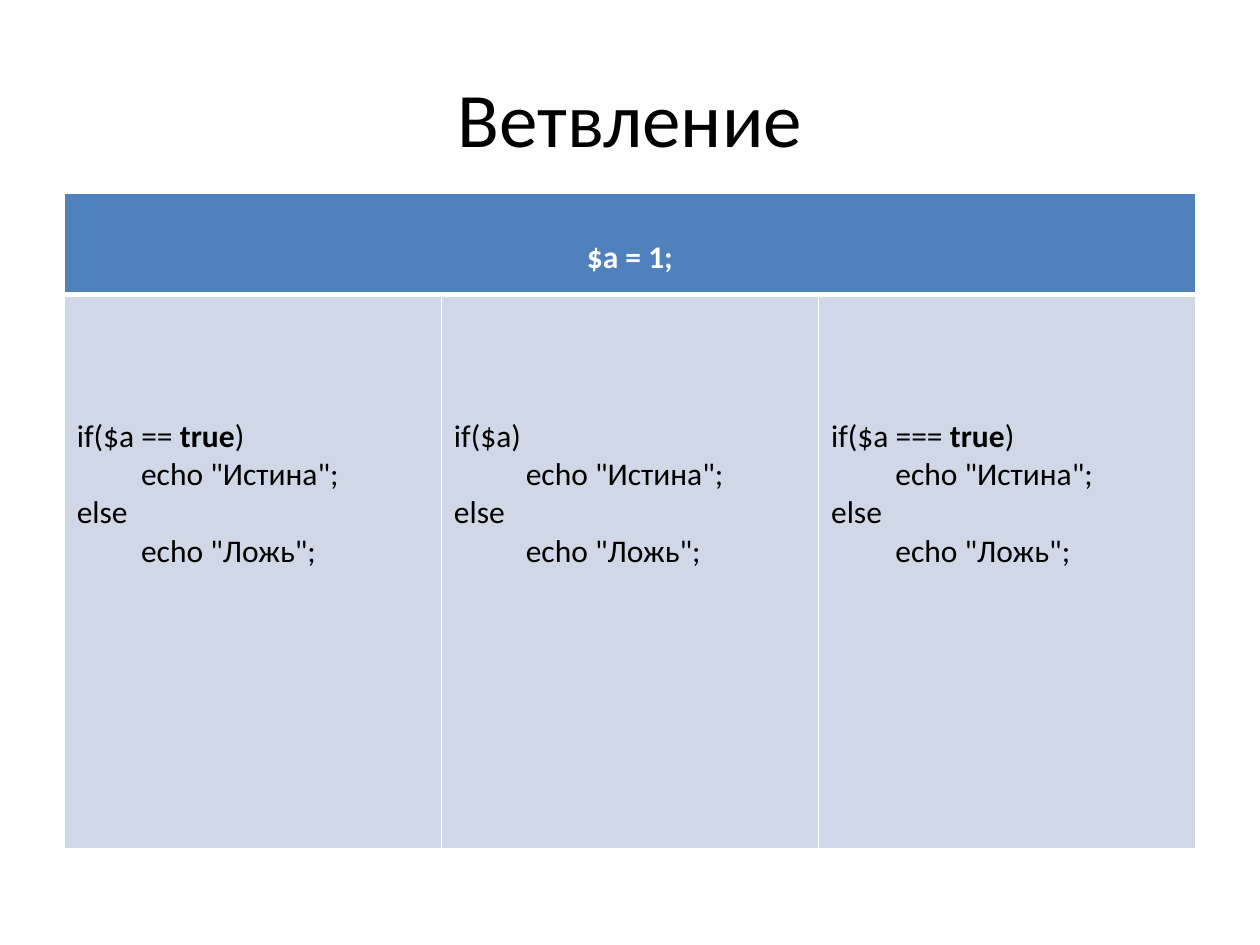
from lxml.etree import SubElement
from pptx import Presentation
from pptx.dml.color import RGBColor
from pptx.enum.text import MSO_ANCHOR, PP_ALIGN
from pptx.oxml.ns import qn
from pptx.util import Inches, Pt

COLORS = {"text": "000000", "light": "FFFFFF", "header": "4F81BD", "body": "D0D8E8"}
FONT = "Calibri"
HEADER = "$a = 1;"
# Condition runs (text, bold) and the indent of the echo lines in inches
BRANCHES = [
    ([("if($a == ", False), ("true", True), (")", False)], 0.51),
    ([("if($a)", False)], 0.57),
    ([("if($a === ", False), ("true", True), (")", False)], 0.51),
]


def add_run(p, text, size, color, bold=False):
    """Add one formatted run to a paragraph."""
    r = p.add_run()
    r.text = text
    r.font.name = FONT
    r.font.size = Pt(size)
    r.font.bold = bold
    r.font.color.rgb = RGBColor.from_string(COLORS[color])


def style_cell(cell, fill, top, bottom_line=1, top_line=1):
    """Set the borders, fill and top margin of a cell."""
    tcPr = cell._tc.get_or_add_tcPr()
    for side, width in (("L", 1), ("R", 1), ("T", top_line), ("B", bottom_line)):
        ln = SubElement(tcPr, qn(f"a:ln{side}"), w=str(Pt(width)))
        solid = SubElement(ln, qn("a:solidFill"))
        SubElement(solid, qn("a:srgbClr"), val=COLORS["light"])
    cell.fill.solid()
    cell.fill.fore_color.rgb = RGBColor.from_string(COLORS[fill])
    cell.margin_top = Inches(top)


def add_title(s, text, x, y, w, h):
    """Place and fill the title placeholder."""
    title = s.shapes.title
    title.left, title.top, title.width, title.height = map(Inches, (x, y, w, h))
    tf = title.text_frame
    tf.vertical_anchor = MSO_ANCHOR.MIDDLE
    p = tf.paragraphs[0]
    p.alignment = PP_ALIGN.CENTER
    add_run(p, text, 44, "text")


def fill_code(cell, condition, indent):
    """Write an if/else listing with indented echo lines."""
    lines = [
        (condition, 0),
        ([('echo "Истина";', False)], indent),
        ([("else", False)], 0),
        ([('echo "Ложь";', False)], indent),
    ]
    tf = cell.text_frame
    for i, (runs, left) in enumerate(lines):
        p = tf.paragraphs[0] if i == 0 else tf.add_paragraph()
        p._p.get_or_add_pPr().set("marL", str(Inches(left)))
        for text, bold in runs:
            add_run(p, text, 18, "text", bold)


def add_branch_table(s, x, y, w, h, header_h):
    """Add the table: a merged header over one column per branch."""
    n = len(BRANCHES)
    frame = s.shapes.add_table(2, n, *map(Inches, (x, y, w, h)))
    table = frame.table
    table.rows[0].height = Inches(header_h)
    table.rows[1].height = Inches(h - header_h)
    for i, (condition, indent) in enumerate(BRANCHES):
        table.columns[i].width = Inches(w / n)
        style_cell(table.cell(0, i), "header", 0.36, bottom_line=3)
        cell = table.cell(1, i)
        style_cell(cell, "body", 0.97, top_line=3)
        fill_code(cell, condition, indent)
    head = table.cell(0, 0)
    head.merge(table.cell(0, n - 1))
    p = head.text_frame.paragraphs[0]
    p.alignment = PP_ALIGN.CENTER
    add_run(p, HEADER, 18, "light", True)


prs = Presentation()
prs.slide_width, prs.slide_height = Inches(10), Inches(7.5)
s = prs.slides.add_slide(prs.slide_layouts[5])
add_title(s, "Ветвление", 0.5, 0.3, 9, 1.25)
add_branch_table(s, 0.51, 1.53, 8.98, 5.21, 0.81)
prs.save("out.pptx")
